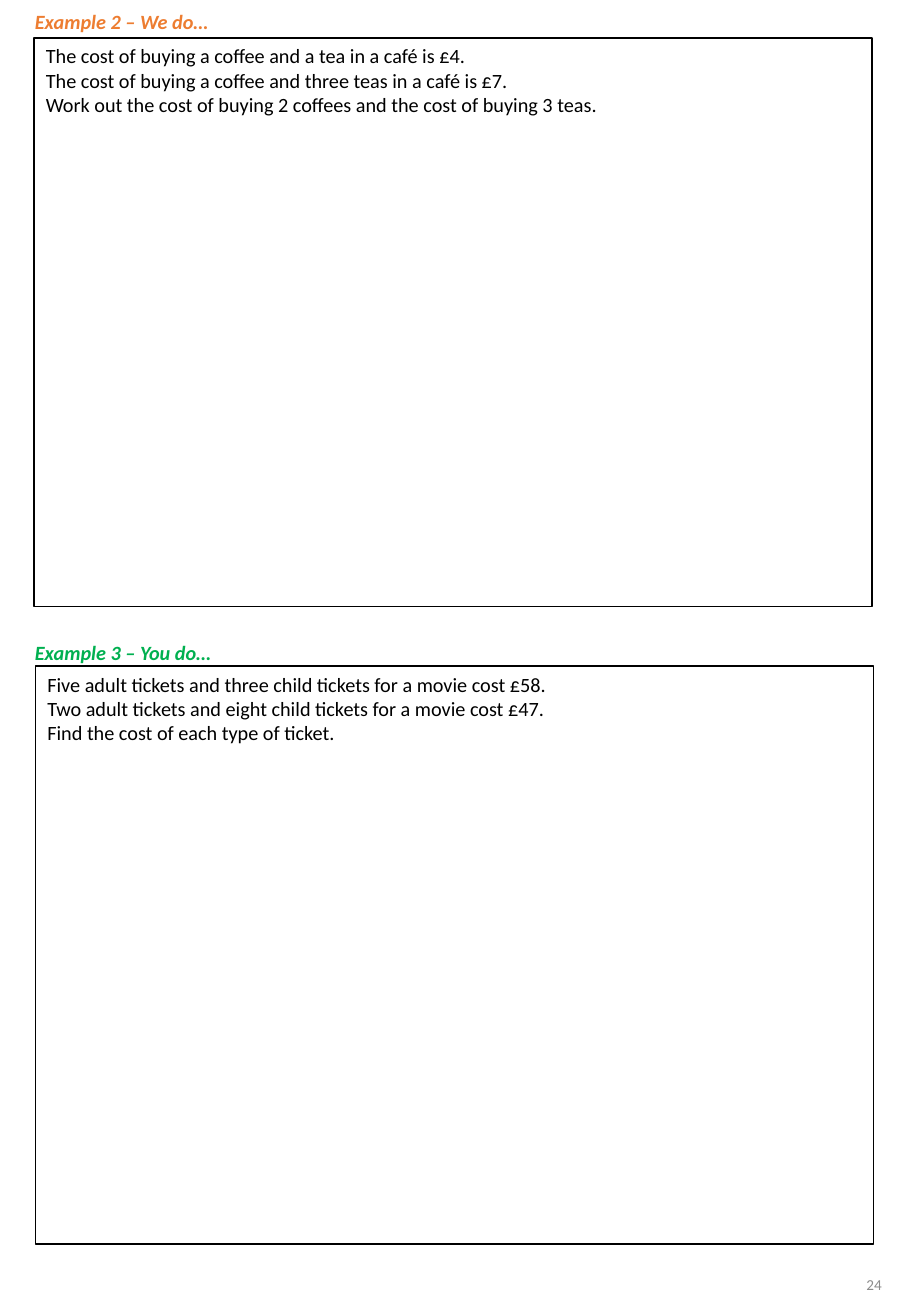
from pptx import Presentation
from pptx.dml.color import RGBColor
from pptx.enum.shapes import MSO_SHAPE
from pptx.enum.text import MSO_ANCHOR, MSO_AUTO_SIZE, PP_ALIGN
from pptx.util import Cm, Pt

PAGE = "24"
TASKS = [
    {
        "title": "Example 2 – We do…",
        "tone": "we",
        "top": 0.08,
        "box": (0.71, 0.79, 17.53, 11.89),
        "lines": [
            "The cost of buying a coffee and a tea in a café is £4.",
            "The cost of buying a coffee and three teas in a café is £7.",
            "Work out the cost of buying 2 coffees and the cost of buying 3 teas.",
        ],
    },
    {
        "title": "Example 3 – You do…",
        "tone": "you",
        "top": 13.26,
        "box": (0.74, 13.92, 17.53, 12.09),
        "lines": [
            "Five adult tickets and three child tickets for a movie cost £58.",
            "Two adult tickets and eight child tickets for a movie cost £47.",
            "Find the cost of each type of ticket.",
        ],
    },
]

THEME = {
    "ink": RGBColor(0, 0, 0),
    "page": RGBColor(0x8C, 0x8C, 0x8C),
    "we": RGBColor(0xED, 0x7D, 0x31),
    "you": RGBColor(0x00, 0xB0, 0x50),
    "body": {"name": "Calibri", "size": Pt(12)},
    "title": {"name": "Calibri", "size": Pt(12), "bold": True, "italic": True},
    "number": {"name": "Calibri", "size": Pt(9)},
    "rule": Pt(1),
}


def write(shape, lines, style, tone, align=PP_ALIGN.LEFT, **frame):
    """Fill a shape with one paragraph per line in a theme style."""
    text = shape.text_frame
    for key, value in {"word_wrap": True, **frame}.items():
        setattr(text, key, value)
    text.text = "\n".join(lines)
    for para in text.paragraphs:
        para.alignment = align
        for run in para.runs:
            for key, value in THEME[style].items():
                setattr(run.font, key, value)
            run.font.color.rgb = THEME[tone]


def add_label(slide, place, *args, **frame):
    label = slide.shapes.add_textbox(*map(Cm, place))
    write(label, *args, **frame)


def add_panel(slide, place, lines):
    panel = slide.shapes.add_shape(MSO_SHAPE.RECTANGLE, *map(Cm, place))
    panel.shadow.inherit = False
    panel.fill.background()
    panel.line.color.rgb = THEME["ink"]
    panel.line.width = THEME["rule"]
    write(panel, lines, "body", "ink", vertical_anchor=MSO_ANCHOR.TOP)


def main():
    deck = Presentation()
    deck.slide_width, deck.slide_height = Cm(19.05), Cm(27.51)
    slide = deck.slides.add_slide(deck.slide_layouts[6])
    add_label(slide, (14.4, 26.11, 4.29, 1.47), [PAGE], "number", "page",
              align=PP_ALIGN.RIGHT, vertical_anchor=MSO_ANCHOR.MIDDLE)
    for task in TASKS:
        add_label(slide, (0.48, task["top"], 4.57, 0.76), [task["title"]],
                  "title", task["tone"],
                  auto_size=MSO_AUTO_SIZE.SHAPE_TO_FIT_TEXT)
        add_panel(slide, task["box"], task["lines"])
    deck.save("out.pptx")


if __name__ == "__main__":
    main()
